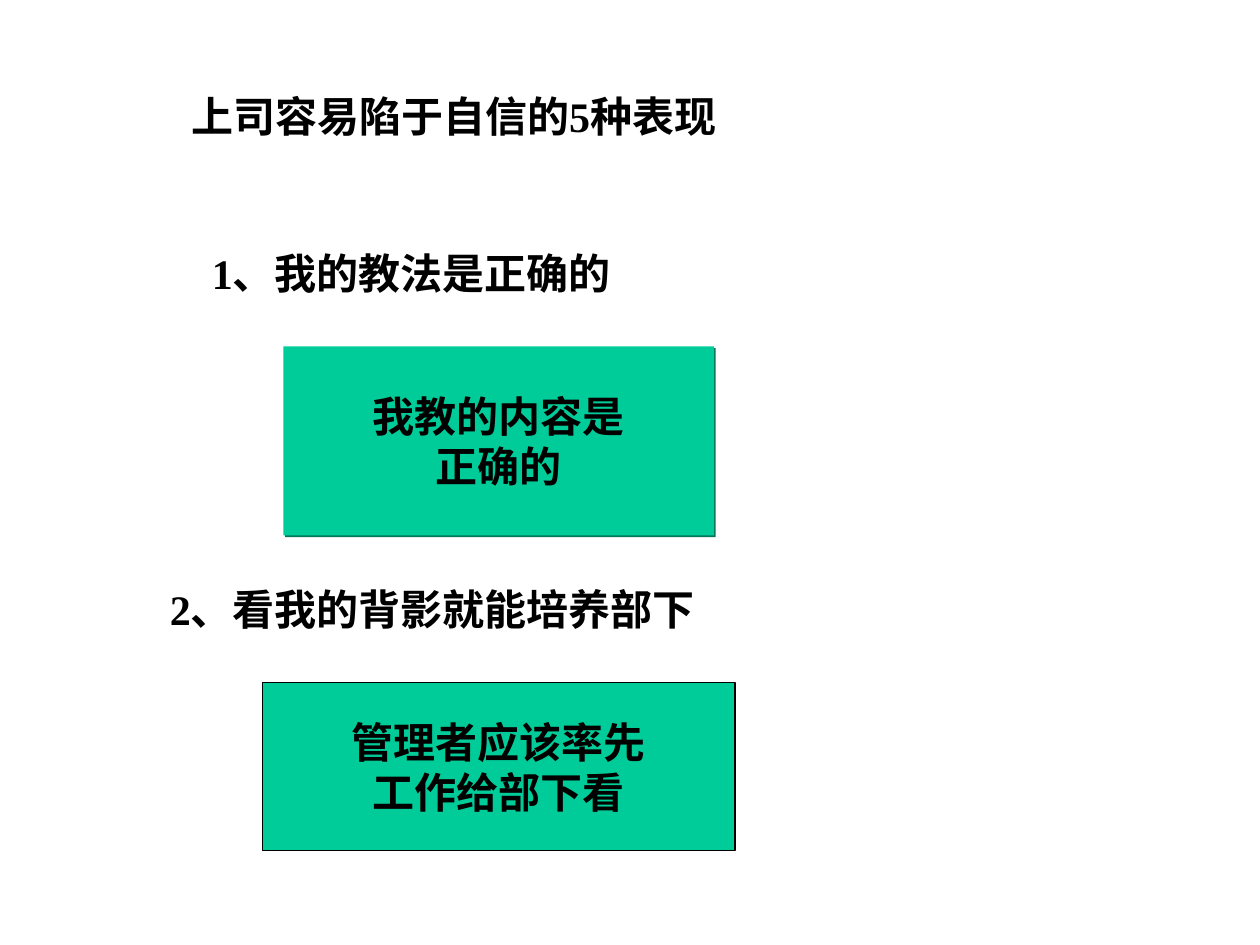
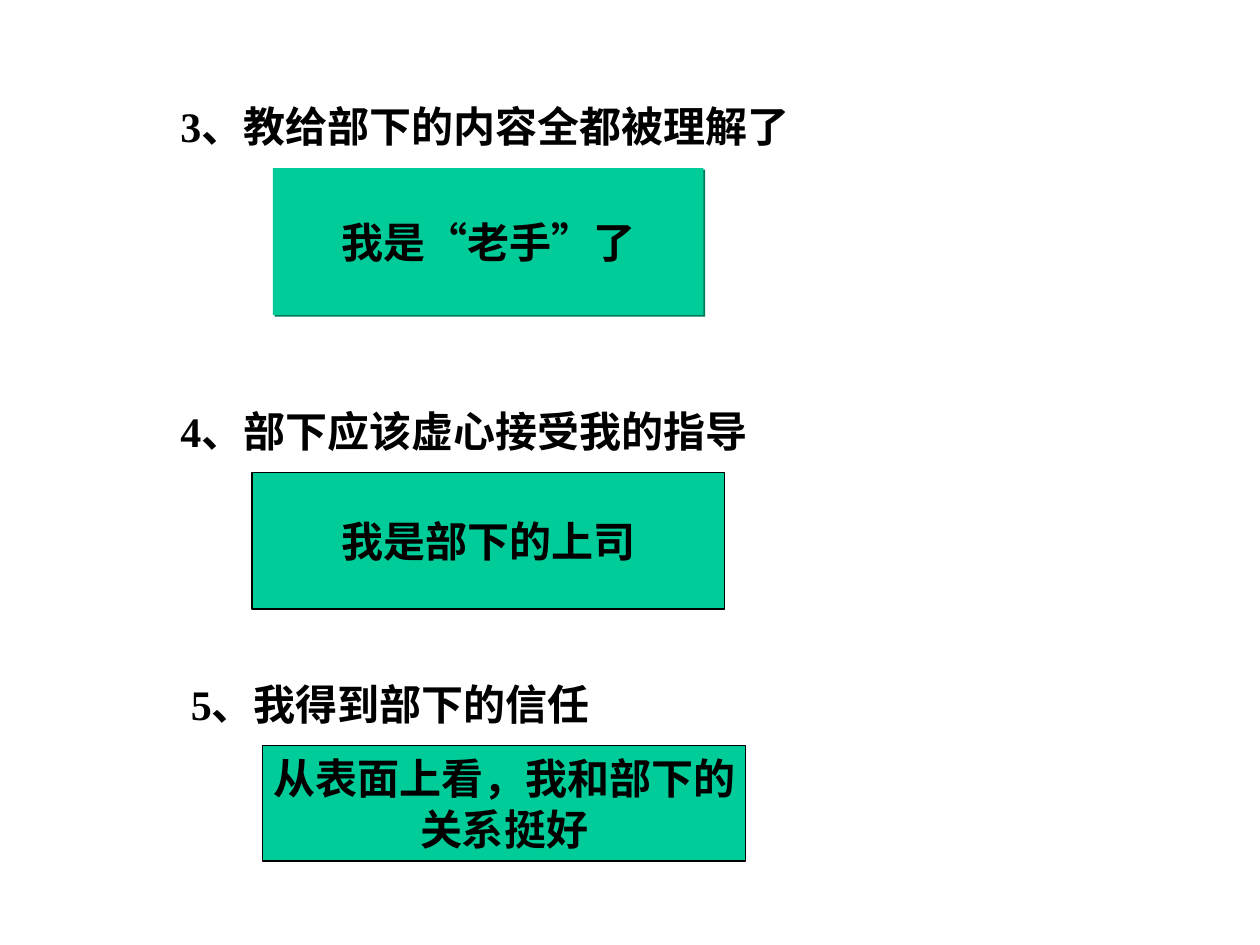
from lxml.etree import SubElement
from pptx import Presentation
from pptx.dml.color import RGBColor
from pptx.enum.shapes import MSO_SHAPE
from pptx.enum.text import MSO_ANCHOR, MSO_AUTO_SIZE, PP_ALIGN
from pptx.oxml.ns import qn
from pptx.util import Pt

COLORS = {"text": "000000", "box": "00CC99", "line": "000000", "shadow": "00795B"}
FONT_NAME = "Times New Roman"
FONT_SIZE = 24
HEADING_HEIGHT = 36
TITLE_ONLY, BLANK = 5, 6

SLIDES = [
    {
        "title": ("上司容易陷于自信的5种表现", 102, 48, 492),
        "box_drop": 60,
        "points": [
            {"heading": ("1、我的教法是正确的", 114, 138, 528),
             "box": ("我教的内容是\n正确的", 162, 246, 108), "shadow": True},
            {"heading": ("2、看我的背影就能培养部下", 90, 330, 372),
             "box": ("管理者应该率先\n工作给部下看", 150, 270, 96), "shadow": False},
        ],
    },
    {
        "title": None,
        "box_drop": 42,
        "points": [
            {"heading": ("3、教给部下的内容全都被理解了", 96, 54, 528),
             "box": ("我是“老手”了", 156, 246, 84), "shadow": True},
            {"heading": ("4、部下应该虚心接受我的指导", 96, 228, 372),
             "box": ("我是部下的上司", 144, 270, 78), "shadow": False},
            {"heading": ("5、我得到部下的信任", 102, 384, 360),
             "box": ("从表面上看，我和部下的\n关系挺好", 150, 276, 66), "shadow": False},
        ],
    },
]


def color(name):
    return RGBColor.from_string(COLORS[name])


def write_text(shape, text, alignment, anchor, space_before=0):
    frame = shape.text_frame
    frame.text = text
    frame.vertical_anchor = anchor
    frame.margin_left = frame.margin_right = Pt(7.2)
    frame.margin_top = frame.margin_bottom = Pt(3.6)
    for paragraph in frame.paragraphs:
        paragraph.alignment = alignment
        paragraph.space_before = Pt(space_before)
        for run in paragraph.runs:
            run.font.name = FONT_NAME
            run.font.size = Pt(FONT_SIZE)
            run.font.bold = True
            run.font.color.rgb = color("text")


def place_heading(shape, text, left, top, width):
    shape.left, shape.top = Pt(left), Pt(top)
    shape.width, shape.height = Pt(width), Pt(HEADING_HEIGHT)
    write_text(shape, text, PP_ALIGN.LEFT, MSO_ANCHOR.TOP, space_before=15)
    shape.text_frame.word_wrap = True
    shape.text_frame.auto_size = MSO_AUTO_SIZE.SHAPE_TO_FIT_TEXT


def add_shadow(shape):
    effects = shape._element.spPr.find(qn("a:effectLst"))
    shadow = SubElement(effects, qn("a:outerShdw"), blurRad="0", dist=str(Pt(1.4)),
                        dir="2700000", algn="ctr", rotWithShape="0")
    SubElement(shadow, qn("a:srgbClr"), val=COLORS["shadow"])


def add_box(slide, text, left, top, width, height, has_shadow):
    box = slide.shapes.add_shape(MSO_SHAPE.RECTANGLE, Pt(left), Pt(top), Pt(width), Pt(height))
    box.fill.solid()
    box.fill.fore_color.rgb = color("box")
    box.shadow.inherit = False
    if has_shadow:
        box.line.fill.background()
        add_shadow(box)
    else:
        box.line.color.rgb = color("line")
        box.line.width = Pt(0.74)
    write_text(box, text, PP_ALIGN.CENTER, MSO_ANCHOR.MIDDLE)
    box.text_frame.word_wrap = False


def build_slide(presentation, content):
    layout = TITLE_ONLY if content["title"] else BLANK
    slide = presentation.slides.add_slide(presentation.slide_layouts[layout])
    if content["title"]:
        place_heading(slide.shapes.title, *content["title"])
    for point in content["points"]:
        place_heading(slide.shapes.add_textbox(0, 0, 0, 0), *point["heading"])
        text, left, width, height = point["box"]
        top = point["heading"][2] + content["box_drop"]
        add_box(slide, text, left, top, width, height, point["shadow"])


presentation = Presentation()
presentation.slide_width, presentation.slide_height = Pt(720), Pt(540)
for content in SLIDES:
    build_slide(presentation, content)
presentation.save("out.pptx")
